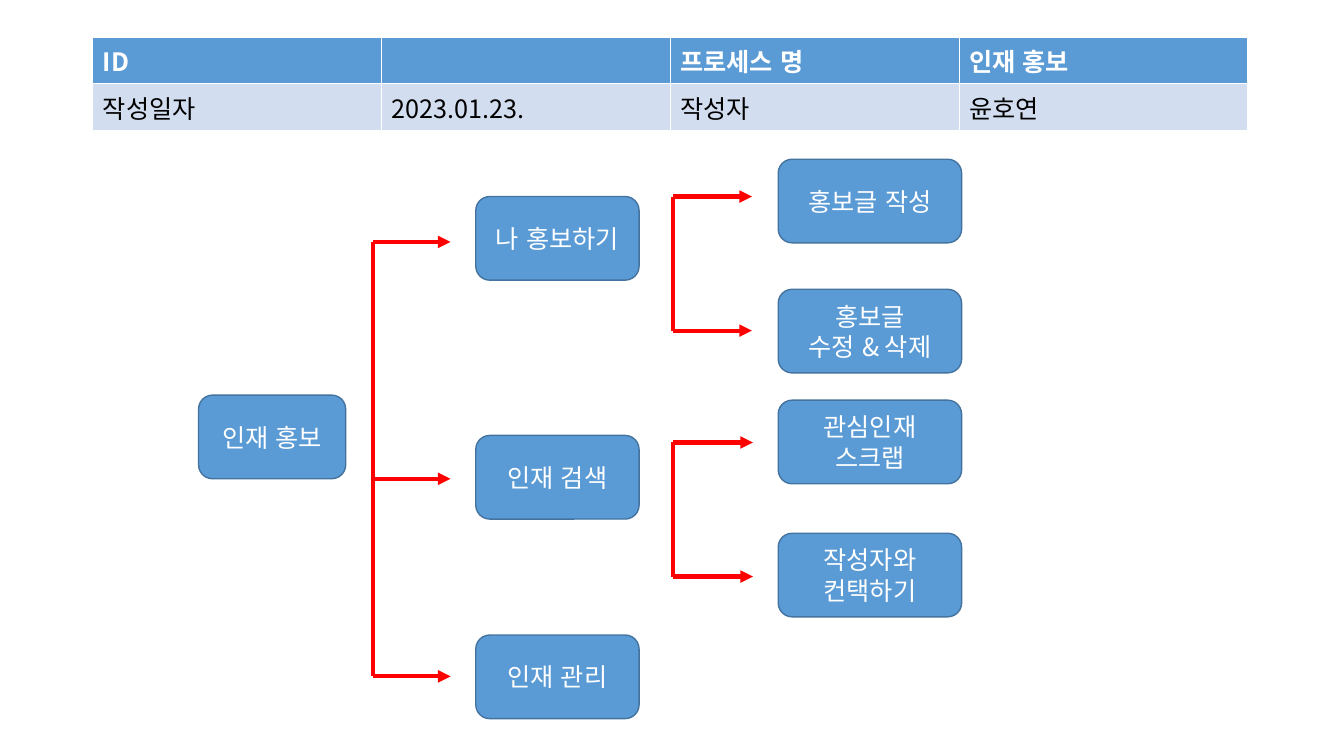
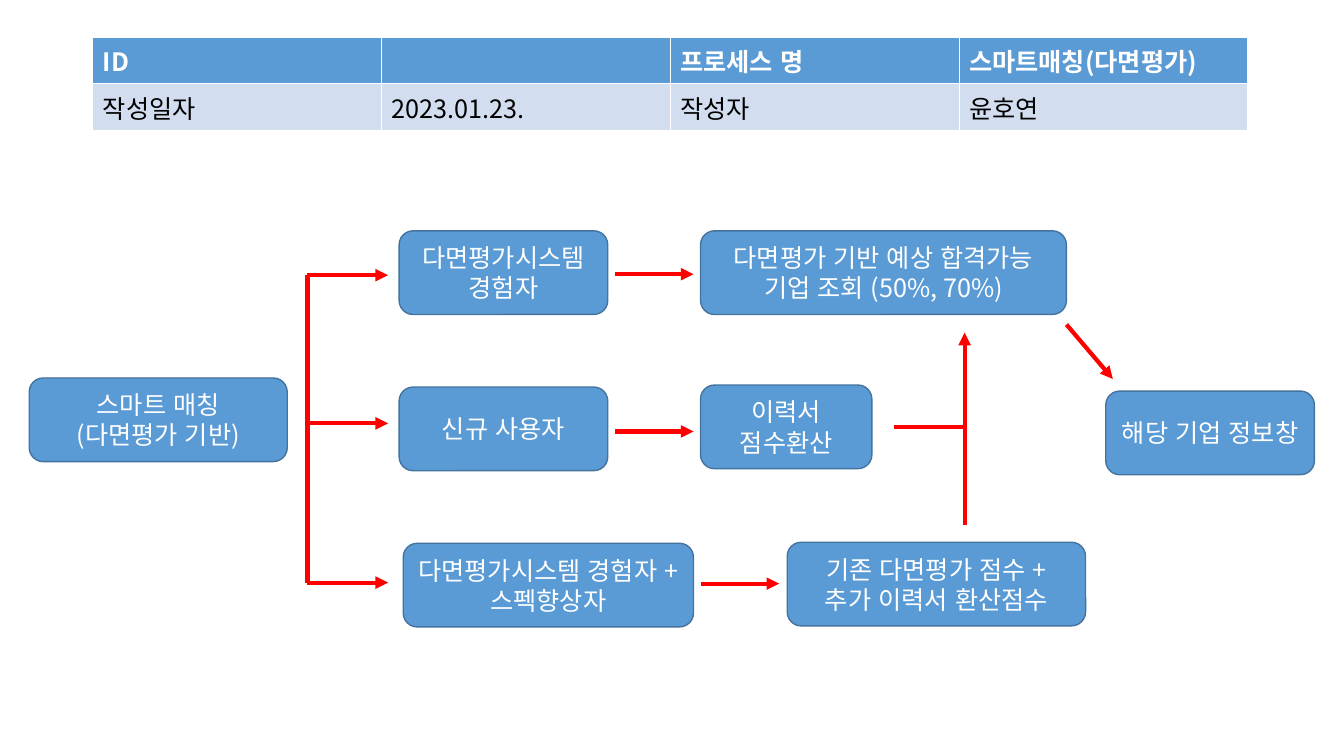
import dataclasses
import typing

import lxml.etree
import pptx
import pptx.dml.color
import pptx.enum.lang
import pptx.enum.shapes
import pptx.enum.text
import pptx.oxml
import pptx.oxml.ns
import pptx.util

COLORS = {
    "box": "5B9BD5",
    "outline": "43739E",
    "band": "D2DEEF",
    "arrow": "FF0000",
    "light": "FFFFFF",
    "dark": "000000",
}
FONT = "Noto Sans CJK KR"
CELL = 0.1  # inches per grid column and row
SLIDE_COLS, SLIDE_ROWS = 133.33, 75
BOX_ROWS = 8.3
TABLE_LEFT, TABLE_TOP, TABLE_COLS = 9.2, 3.7, 114.6
TABLE_ROWS = (4.3, 4.1)
DATE, AUTHOR = "2023.01.23.", "윤호연"


@dataclasses.dataclass(frozen=True)
class Step:
    text: str
    col: float
    row: float
    cols: float


@dataclasses.dataclass(frozen=True)
class Line:
    col: float
    row: float
    end_col: float
    end_row: float
    arrow: bool = True


@dataclasses.dataclass(frozen=True)
class Branch:
    """A vertical trunk with one arrow to the right at each row."""

    col: float
    tip: float
    rows: tuple[float, ...]

    def lines(self) -> list[Line]:
        trunk = Line(self.col, self.rows[0], self.col, self.rows[-1], arrow=False)
        return [trunk] + [Line(self.col, row, self.tip, row) for row in self.rows]


@dataclasses.dataclass(frozen=True)
class Process:
    name: str
    steps: list[Step]
    branches: list[Branch]
    lines: list[Line]


PROCESSES = [
    Process(
        "인재 홍보",
        [
            Step("인재 홍보", 19.7, 39.2, 14.6),
            Step("나 홍보하기", 47.2, 19.5, 16.2),
            Step("인재 검색", 47.2, 43.2, 16.2),
            Step("인재 관리", 47.2, 63, 16.2),
            Step("홍보글 작성", 77.2, 15.8, 18.2),
            Step("홍보글\n수정 & 삭제", 77.2, 28.7, 18.2),
            Step("관심인재 스크랩", 77.2, 39.7, 18.2),
            Step("작성자와 컨택하기", 77.2, 52.9, 18.2),
        ],
        [
            Branch(37, 44.7, (24, 47.5, 67.1)),
            Branch(66.8, 74.6, (19.5, 32.8)),
            Branch(66.8, 74.7, (43.9, 57.2)),
        ],
        [],
    ),
    Process(
        "스마트매칭(다면평가)",
        [
            Step("스마트 매칭\n(다면평가 기반)", 2.9, 37.5, 25.6),
            Step("다면평가시스템 경험자", 39.6, 22.9, 20.7),
            Step("신규 사용자", 39.6, 38.4, 20.7),
            Step("다면평가시스템 경험자 + 스펙향상자", 40, 53.9, 28.8),
            Step("다면평가 기반 예상 합격가능\n기업 조회 (50%, 70%)", 69.5, 22.9, 36.3),
            Step("이력서 점수환산", 69.5, 38.2, 17),
            Step("기존 다면평가 점수 + 추가 이력서 환산점수", 78.1, 53.8, 29.6),
            Step("해당 기업 정보창", 109.7, 38.8, 20.7),
        ],
        [Branch(30.5, 38.5, (27.3, 42, 57.8))],
        [
            Line(61, 27.2, 68.8, 27.2),
            Line(61, 42.8, 68.8, 42.8),
            Line(69.5, 57.9, 77.3, 57.9),
            Line(88.7, 42.4, 95.7, 42.4, arrow=False),
            Line(95.7, 52.1, 95.7, 33),
            Line(105.8, 32.2, 110.4, 37.6),
        ],
    ),
]


def grid(*counts: float) -> list[pptx.util.Length]:
    return [pptx.util.Inches(count * CELL) for count in counts]


def rgb(name: str) -> pptx.dml.color.RGBColor:
    return pptx.dml.color.RGBColor.from_string(COLORS[name])


def write(frame: typing.Any, text: str, *, color: str, bold: bool = False,
          centered: bool = False) -> None:
    """Fill a text frame, one paragraph for each line of the text."""
    frame.word_wrap = True
    for index, content in enumerate(text.split("\n")):
        paragraph = frame.add_paragraph() if index else frame.paragraphs[0]
        if centered:
            paragraph.alignment = pptx.enum.text.PP_ALIGN.CENTER
        run = paragraph.add_run()
        run.text = content
        font = run.font
        font.size, font.bold, font.name = pptx.util.Pt(18), bold, FONT
        font.color.rgb = rgb(color)
        font.language_id = pptx.enum.lang.MSO_LANGUAGE_ID.KOREAN
        east_asian = lxml.etree.SubElement(
            run._r.get_or_add_rPr(), pptx.oxml.ns.qn("a:ea"))
        east_asian.set("typeface", FONT)


def draw_borders(cell: typing.Any, bottom: float) -> None:
    properties = cell._tc.get_or_add_tcPr()
    for side, points in (("L", 1), ("R", 1), ("T", 1), ("B", bottom)):
        properties.append(pptx.oxml.parse_xml(
            f'<a:ln{side} {pptx.oxml.ns.nsdecls("a")} w="{pptx.util.Pt(points)}">'
            f'<a:solidFill><a:srgbClr val="{COLORS["light"]}"/></a:solidFill>'
            f"</a:ln{side}>"))


def draw_heading(slide: typing.Any, name: str) -> None:
    entries = (("ID", "", "프로세스 명", name), ("작성일자", DATE, "작성자", AUTHOR))
    heading = slide.shapes.add_table(
        2, 4, *grid(TABLE_LEFT, TABLE_TOP, TABLE_COLS, sum(TABLE_ROWS))).table
    heading.horz_banding = False
    for column in heading.columns:
        column.width = grid(TABLE_COLS / 4)[0]
    for row, (texts, height) in enumerate(zip(entries, TABLE_ROWS)):
        heading.rows[row].height = grid(height)[0]
        first = row == 0
        for column, text in enumerate(texts):
            cell = heading.cell(row, column)
            draw_borders(cell, bottom=1)
            cell.fill.solid()
            cell.fill.fore_color.rgb = rgb("box" if first else "band")
            if text:
                write(cell.text_frame, text, color="light" if first else "dark",
                      bold=first)


def draw_step(slide: typing.Any, step: Step) -> None:
    box = slide.shapes.add_shape(
        pptx.enum.shapes.MSO_SHAPE.ROUNDED_RECTANGLE,
        *grid(step.col, step.row, step.cols, BOX_ROWS))
    box.shadow.inherit = False
    box.fill.solid()
    box.fill.fore_color.rgb = rgb("box")
    box.line.color.rgb = rgb("outline")
    box.line.width = pptx.util.Pt(1)
    box.text_frame.vertical_anchor = pptx.enum.text.MSO_ANCHOR.MIDDLE
    write(box.text_frame, step.text, color="light", centered=True)


def draw_line(slide: typing.Any, line: Line) -> None:
    connector = slide.shapes.add_connector(
        pptx.enum.shapes.MSO_CONNECTOR.STRAIGHT,
        *grid(line.col, line.row, line.end_col, line.end_row))
    connector.line.color.rgb = rgb("arrow")
    connector.line.width = pptx.util.Pt(3)
    if line.arrow:
        stroke = connector.line._get_or_add_ln()
        head = lxml.etree.SubElement(stroke, pptx.oxml.ns.qn("a:tailEnd"))
        head.set("type", "triangle")
    lxml.etree.SubElement(
        connector._element.spPr, pptx.oxml.ns.qn("a:effectLst"))


def draw_process(deck: typing.Any, process: Process) -> None:
    slide = deck.slides.add_slide(deck.slide_layouts[6])
    draw_heading(slide, process.name)
    for step in process.steps:
        draw_step(slide, step)
    for branch in process.branches:
        for line in branch.lines():
            draw_line(slide, line)
    for line in process.lines:
        draw_line(slide, line)


def main() -> None:
    deck = pptx.Presentation()
    deck.slide_width, deck.slide_height = grid(SLIDE_COLS, SLIDE_ROWS)
    for process in PROCESSES:
        draw_process(deck, process)
    deck.save("out.pptx")


if __name__ == "__main__":
    main()
